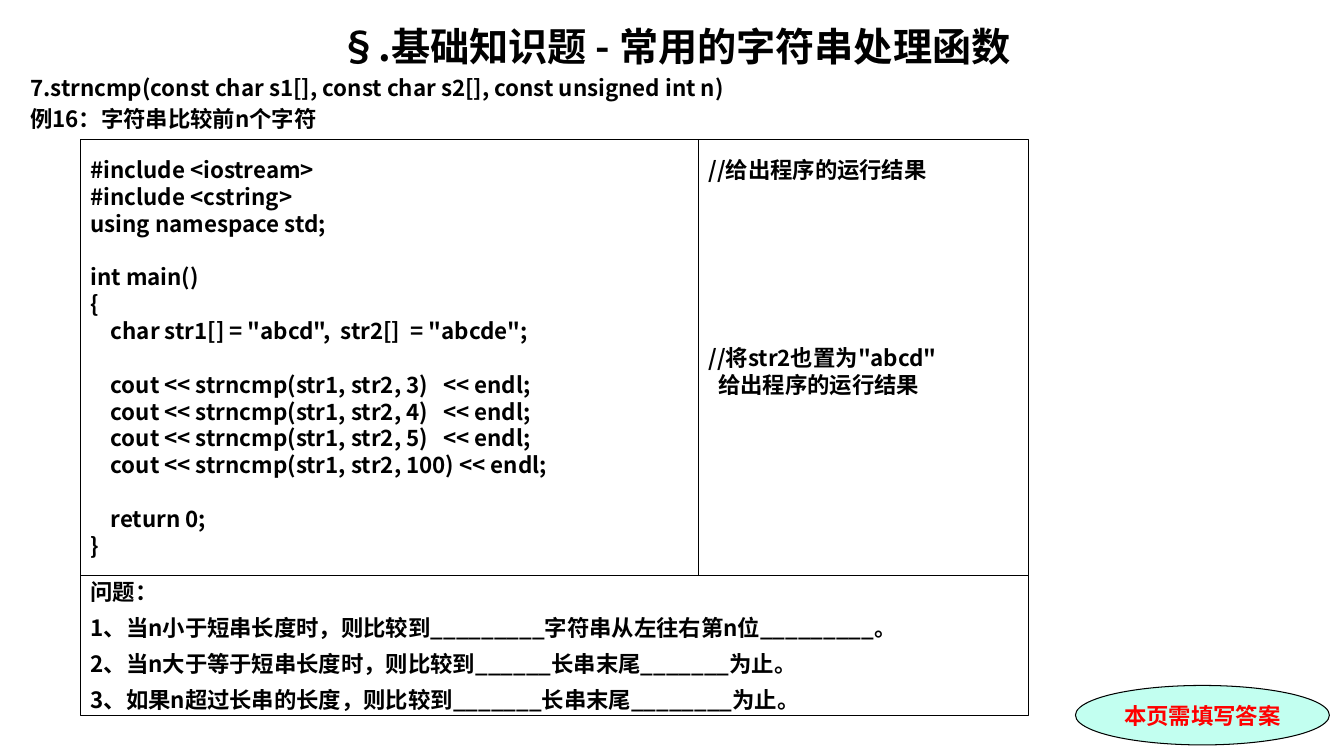
from dataclasses import dataclass

from pptx import Presentation
from pptx.dml.color import RGBColor
from pptx.enum import shapes, text
from pptx.oxml import ns
from pptx.util import Pt

FONT = "Noto Sans CJK SC"
BLACK, RED, MINT = "000000", "FF0000", "C2FFF0"
LINE = 19.2  # line pitch of 16 pt text
LEFT, CENTER = text.PP_ALIGN.LEFT, text.PP_ALIGN.CENTER
TOP, MIDDLE = text.MSO_ANCHOR.TOP, text.MSO_ANCHOR.MIDDLE


@dataclass
class Line:
    text: str
    before: float = 0
    indent: float = 0


@dataclass
class Format:
    size: float = 16
    font: str = FONT
    color: str = BLACK
    align: text.PP_ALIGN = LEFT
    anchor: text.MSO_ANCHOR = MIDDLE
    pitch: float | None = LINE
    inset: float = 3.6
    wrap: bool = True


@dataclass
class Panel:
    kind: shapes.MSO_SHAPE
    box: tuple[float, float, float, float]
    lines: list[Line]
    fmt: Format
    fill: str | None = None


def rgb(value: str) -> RGBColor:
    return RGBColor.from_string(value)


def write(tf, lines: list[Line], fmt: Format) -> None:
    frame = {"word_wrap": fmt.wrap, "vertical_anchor": fmt.anchor,
             "auto_size": text.MSO_AUTO_SIZE.NONE,
             "margin_top": Pt(fmt.inset), "margin_bottom": Pt(3.6),
             "margin_left": Pt(7.2), "margin_right": Pt(7.2)}
    for name, value in frame.items():
        setattr(tf, name, value)
    for i, line in enumerate(lines):
        p = tf.paragraphs[0] if i == 0 else tf.add_paragraph()
        pPr = p._p.get_or_add_pPr()
        pPr.set("marL", str(Pt(line.indent)))
        pPr.set("indent", "0")
        pPr.append(pPr.makeelement(ns.qn("a:buNone"), {}))
        p.alignment = fmt.align
        p.space_before = Pt(line.before)
        if fmt.pitch:
            p.line_spacing = Pt(fmt.pitch)
        r = p.add_run()
        r.text = line.text
        r.font.color.rgb = rgb(fmt.color)
        for name, value in {"name": fmt.font, "size": Pt(fmt.size), "bold": True}.items():
            setattr(r.font, name, value)
        rPr = r._r.get_or_add_rPr()
        rPr.append(rPr.makeelement(ns.qn("a:ea"), {"typeface": FONT}))


def place(sp, box: tuple[float, float, float, float]) -> None:
    for name, value in zip(("left", "top", "width", "height"), box):
        setattr(sp, name, Pt(value))


def draw(s, panel: Panel) -> None:
    sp = s.shapes.add_shape(panel.kind, *map(Pt, panel.box))
    sp.shadow.inherit = False
    if panel.fill:
        sp.fill.solid()
        sp.fill.fore_color.rgb = rgb(panel.fill)
    else:
        sp.fill.background()
    sp.line.color.rgb = rgb(BLACK)
    sp.line.width = Pt(0.75)
    write(sp.text_frame, panel.lines, panel.fmt)


def code_lines(code: str) -> list[Line]:
    """Turn each empty code line into space before the next line."""
    lines, gap = [], 0.0
    for row in code.strip().split("\n"):
        if row:
            lines.append(Line(row, gap))
        gap = 0.0 if row else LINE
    return lines


CODE = """
#include <iostream>
#include <cstring>
using namespace std;

int main()
{
    char str1[] = "abcd",  str2[]  = "abcde";

    cout << strncmp(str1, str2, 3)   << endl;
    cout << strncmp(str1, str2, 4)   << endl;
    cout << strncmp(str1, str2, 5)   << endl;
    cout << strncmp(str1, str2, 100) << endl;

    return 0;
}
"""
TASKS = [Line("//给出程序的运行结果"),
         Line('//将str2也置为"abcd"', 6 * LINE),
         Line("给出程序的运行结果", indent=7)]
QUESTIONS = [Line("问题："),
             Line("1、当n小于短串长度时，则比较到_________字符串从左往右第n位_________。", 6.7),
             Line("2、当n大于等于短串长度时，则比较到______长串末尾_______为止。", 6.7),
             Line("3、如果n超过长串的长度，则比较到_______长串末尾________为止。", 6.7)]
HEADINGS = [Line("7.strncmp(const char s1[], const char s2[], const unsigned int n)"),
            Line("例16：字符串比较前n个字符", 3.2)]

# Grid of the three framed panels
X, Y, CODE_W, TASK_W, CODE_H, QUESTION_H = 57.6, 99.4, 441.4, 235.4, 311.8, 100
RECT, OVAL = shapes.MSO_SHAPE.RECTANGLE, shapes.MSO_SHAPE.OVAL
PANELS = [
    Panel(OVAL, (768.2, 489.6, 181.4, 42.5), [Line("本页需填写答案")],
          Format(font="Times New Roman", color=RED, align=CENTER, wrap=False), MINT),
    Panel(RECT, (X, Y, CODE_W, CODE_H), code_lines(CODE), Format()),
    Panel(RECT, (X, Y + CODE_H, CODE_W + TASK_W, QUESTION_H), QUESTIONS, Format()),
    Panel(RECT, (X + CODE_W, Y, TASK_W, CODE_H), TASKS,
          Format(anchor=TOP, inset=(CODE_H - 15 * LINE) / 2)),
]


def main() -> None:
    prs = Presentation()
    prs.slide_width, prs.slide_height = Pt(960), Pt(540)
    s = prs.slides.add_slide(prs.slide_layouts[1])

    # Title and headings
    title, body = s.placeholders
    place(title, (14.4, 13, 935.3, 40))
    write(title.text_frame, [Line("§.基础知识题 - 常用的字符串处理函数")],
          Format(size=28, align=CENTER, pitch=None))
    place(body, (14.4, 49, 935.3, 50))
    write(body.text_frame, HEADINGS, Format(align=text.PP_ALIGN.JUSTIFY, anchor=TOP))

    # Panels and answer badge
    for panel in PANELS:
        draw(s, panel)
    prs.save("out.pptx")


if __name__ == "__main__":
    main()
